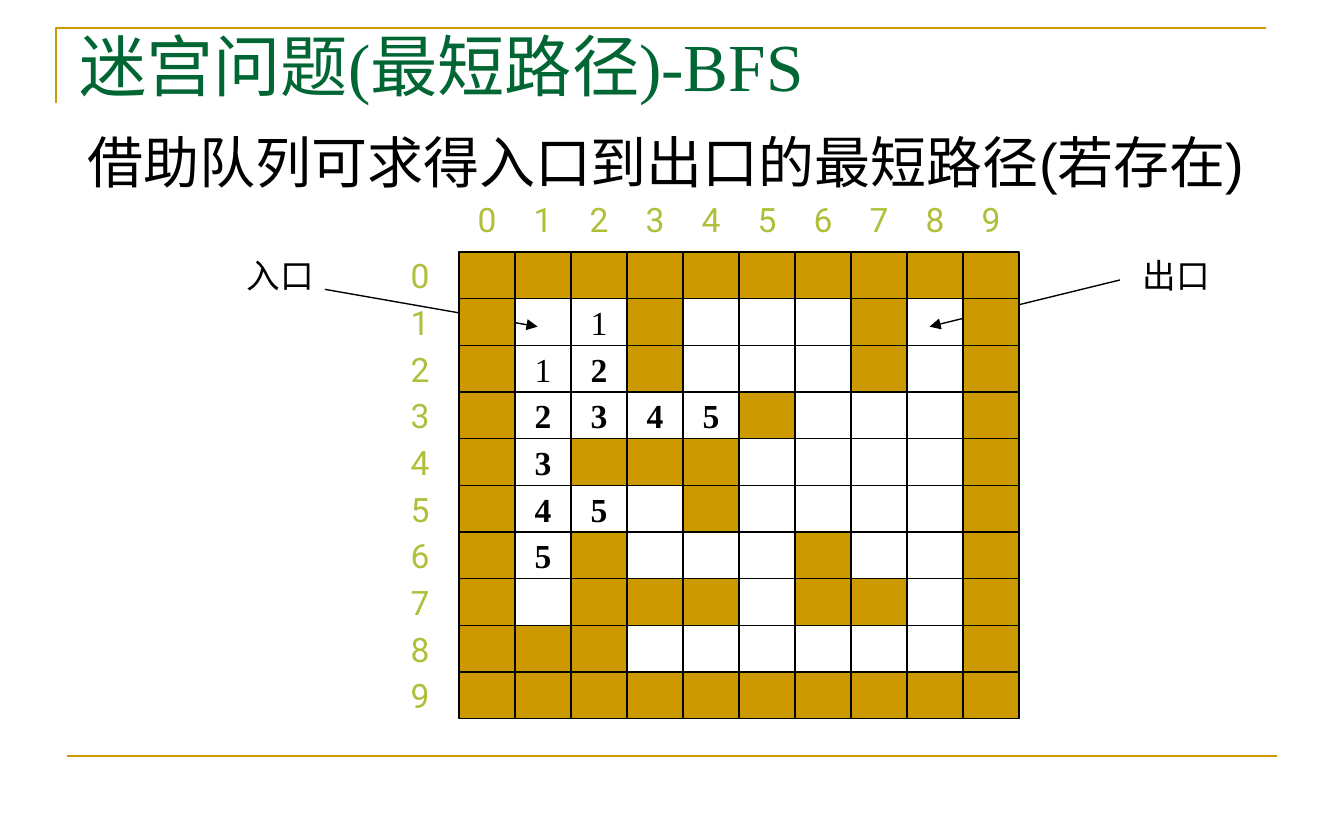
"""Build a slide showing a breadth-first search through a walled maze."""
import dataclasses
import typing

import pptx
import pptx.dml.color
import pptx.enum.shapes
import pptx.enum.text
import pptx.oxml.ns
import pptx.oxml.xmlchemy
import pptx.util

Color = pptx.dml.color.RGBColor
Anchor = pptx.enum.text.MSO_ANCHOR
Align = pptx.enum.text.PP_ALIGN
Shapes = pptx.enum.shapes.MSO_SHAPE

WIDTH, HEIGHT = pptx.util.Inches(10), pptx.util.Inches(6.25)
COLUMNS, ROWS = 24, 18
MAZE_LEFT, MAZE_TOP = 8.2, 5.4
ROW_LABEL_LEFT, COLUMN_LABEL_TOP = 7, 4.2
MAZE = (
    "##########",
    "#.1#...#.#",
    "#12#...#.#",
    "#2345# ..#",
    "#3###....#",
    "#45.#....#",
    "#5#...#..#",
    "#.###.##.#",
    "###......#",
    "##########",
)


@dataclasses.dataclass(frozen=True)
class Theme:
    """Colours, fonts and sizes in points."""
    gold: Color = Color.from_string("CC9900")
    green: Color = Color.from_string("006633")
    lime: Color = Color.from_string("AFBF39")
    black: Color = Color.from_string("000000")
    serif: str = "Times New Roman"
    sans: str = "Arial"
    label: str = "Roboto"
    title_size: int = 36
    body_size: int = 30
    label_size: int = 18
    rule_width: float = 1.5
    cell_width: float = 0.75


THEME = Theme()


class Area(typing.NamedTuple):
    """A rectangle in slide columns and rows."""
    left: float
    top: float
    width: float = 1
    height: float = 1


class Style(typing.NamedTuple):
    """The look of one paragraph."""
    font: str
    size: int
    color: Color
    bold: bool = False


class Doorway(typing.NamedTuple):
    """A labelled arrow pointing into the maze."""
    text: str
    area: Area
    start: tuple[float, float]
    end: tuple[float, float]


LABEL = Style(THEME.label, THEME.label_size, THEME.lime)
DOORWAY = LABEL._replace(color=THEME.black)
DOORWAYS = (
    Doorway("入口", Area(3.6, 5.4, 2.8), (5.8, 6.2), (9.6, 7)),
    Doorway("出口", Area(19.6, 5.4, 2.8), (20, 6), (16.6, 7)),
)


def across(columns: float) -> int:
    """Convert slide columns to a length."""
    return round(WIDTH * columns / COLUMNS)


def down(rows: float) -> int:
    """Convert slide rows to a length."""
    return round(HEIGHT * rows / ROWS)


def bounds(area: Area) -> tuple[int, int, int, int]:
    """Convert an area to left, top, width and height."""
    return across(area.left), down(area.top), across(area.width), down(area.height)


def write(box, text: str, style: Style, anchor=Anchor.MIDDLE, align=Align.CENTER, wrap=False):
    """Fill a shape with one styled paragraph and return the paragraph."""
    frame = box.text_frame
    frame.word_wrap = wrap
    frame.vertical_anchor = anchor
    para = frame.paragraphs[0]
    para.text = text
    para.alignment = align
    para.font.name = style.font
    para.font.size = pptx.util.Pt(style.size)
    para.font.color.rgb = style.color
    para.font.bold = style.bold
    return para


def add_text(page, area: Area, text: str, style: Style, **layout):
    """Add a text box and return its paragraph."""
    return write(page.shapes.add_textbox(*bounds(area)), text, style, **layout)


def add_line(page, start, end, color: Color, width: float, arrow: bool = False) -> None:
    """Add a straight line, with an arrowhead at its end if asked."""
    line = page.shapes.add_connector(
        pptx.enum.shapes.MSO_CONNECTOR.STRAIGHT,
        across(start[0]), down(start[1]), across(end[0]), down(end[1]))
    line.line.color.rgb = color
    line.line.width = pptx.util.Pt(width)
    properties = line._element.find(pptx.oxml.ns.qn("p:spPr"))
    if arrow:
        head = pptx.oxml.xmlchemy.OxmlElement("a:tailEnd")
        head.set("type", "triangle")
        properties.find(pptx.oxml.ns.qn("a:ln")).append(head)
    properties.append(pptx.oxml.xmlchemy.OxmlElement("a:effectLst"))


def add_frame(page) -> None:
    """Draw the corner rule above the title and the rule at the foot."""
    builder = page.shapes.build_freeform(across(1), down(2.2))
    builder.add_line_segments([(across(1), down(0.6)), (across(22.6), down(0.6))], close=False)
    corner = builder.convert_to_shape()
    corner.shadow.inherit = False
    corner.fill.background()
    corner.line.color.rgb = THEME.gold
    corner.line.width = pptx.util.Pt(THEME.rule_width)
    add_line(page, (1.2, 16.2), (22.8, 16.2), THEME.gold, THEME.rule_width)


def add_cell(page, column: int, row: int, mark: str) -> None:
    """Draw a wall, an open cell or a cell with its distance."""
    area = Area(MAZE_LEFT + column, MAZE_TOP + row)
    cell = page.shapes.add_shape(Shapes.RECTANGLE, *bounds(area))
    cell.shadow.inherit = False
    cell.line.color.rgb = THEME.black
    cell.line.width = pptx.util.Pt(THEME.cell_width)
    if mark == "#":
        cell.fill.solid()
        cell.fill.fore_color.rgb = THEME.gold
    else:
        cell.fill.background()
    if mark.isdigit():
        write(cell, mark, Style(THEME.serif, THEME.label_size, THEME.black, mark != "1"))


def add_cells(page, border: bool) -> None:
    """Draw either the outer wall or everything inside it."""
    last = len(MAZE) - 1
    for row, marks in enumerate(MAZE):
        for column, mark in enumerate(marks):
            outer = row in (0, last) or column in (0, last)
            if outer == border and mark != " ":
                add_cell(page, column, row, mark)


def main() -> None:
    """Build and save the deck."""
    deck = pptx.Presentation()
    deck.slide_width, deck.slide_height = WIDTH, HEIGHT
    page = deck.slides.add_slide(deck.slide_layouts[6])
    add_frame(page)
    add_cells(page, border=False)
    for door in DOORWAYS:
        add_text(page, door.area, door.text, DOORWAY)
        add_line(page, door.start, door.end, THEME.black, THEME.cell_width, arrow=True)
    add_cells(page, border=True)
    for index in range(len(MAZE)):
        add_text(page, Area(MAZE_LEFT + index, COLUMN_LABEL_TOP), str(index), LABEL)
        add_text(page, Area(ROW_LABEL_LEFT, MAZE_TOP + index), str(index), LABEL)
    body = add_text(page, Area(1.32, 2.6, 21.48, 1.9), "借助队列可求得入口到出口的最短路径(若存在)",
                    Style(THEME.sans, THEME.body_size, THEME.black),
                    anchor=Anchor.TOP, align=Align.LEFT, wrap=True)
    indent = pptx.util.Inches(0.38)
    body._p.get_or_add_pPr().set("marL", str(int(indent)))
    body._p.get_or_add_pPr().set("indent", str(-int(indent)))
    add_text(page, Area(1.18, 0.6, 21.6, 1.8), "迷宫问题(最短路径)-BFS",
             Style(THEME.serif, THEME.title_size, THEME.green),
             anchor=Anchor.BOTTOM, align=Align.LEFT, wrap=True)
    deck.save("out.pptx")


if __name__ == "__main__":
    main()
